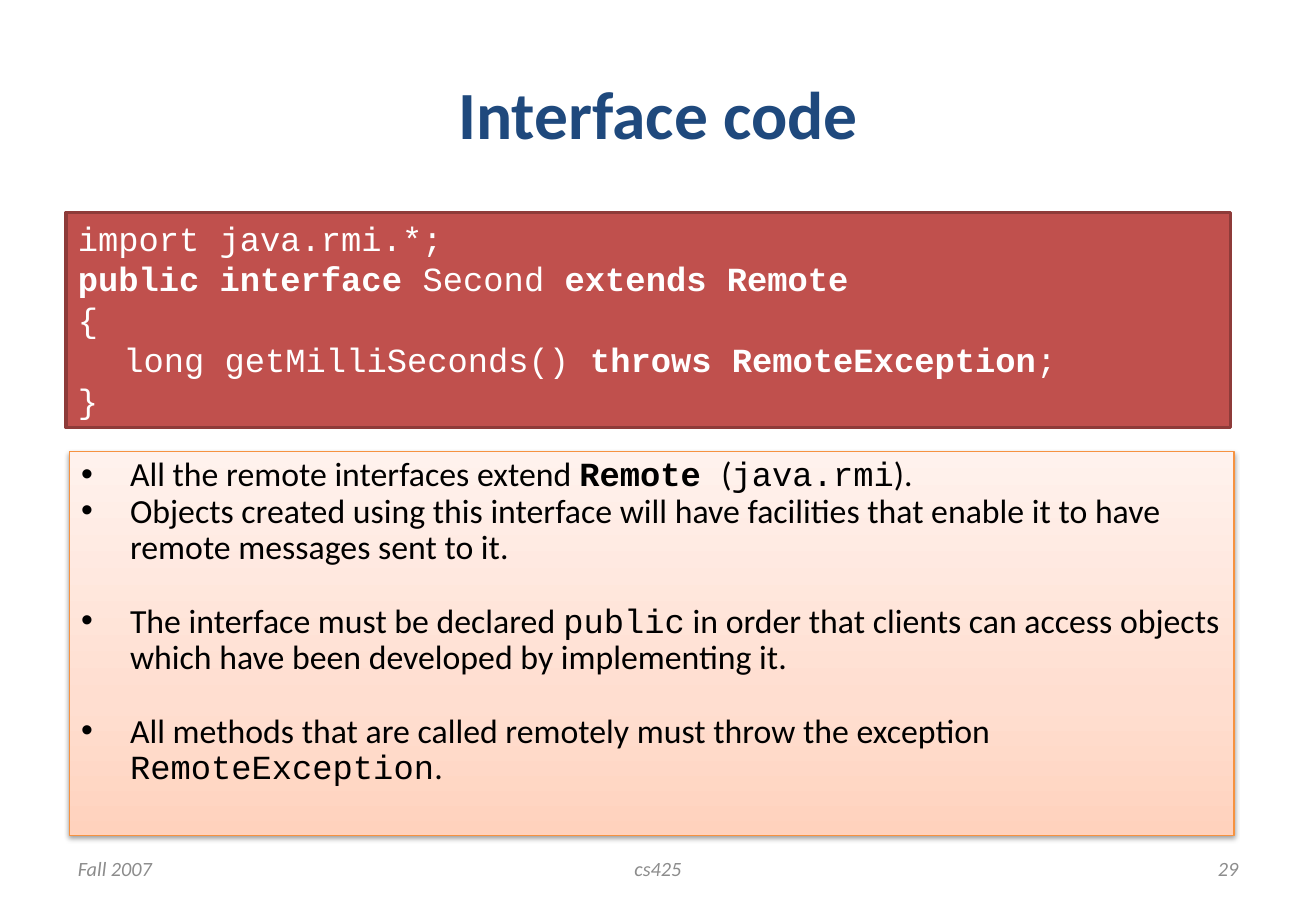
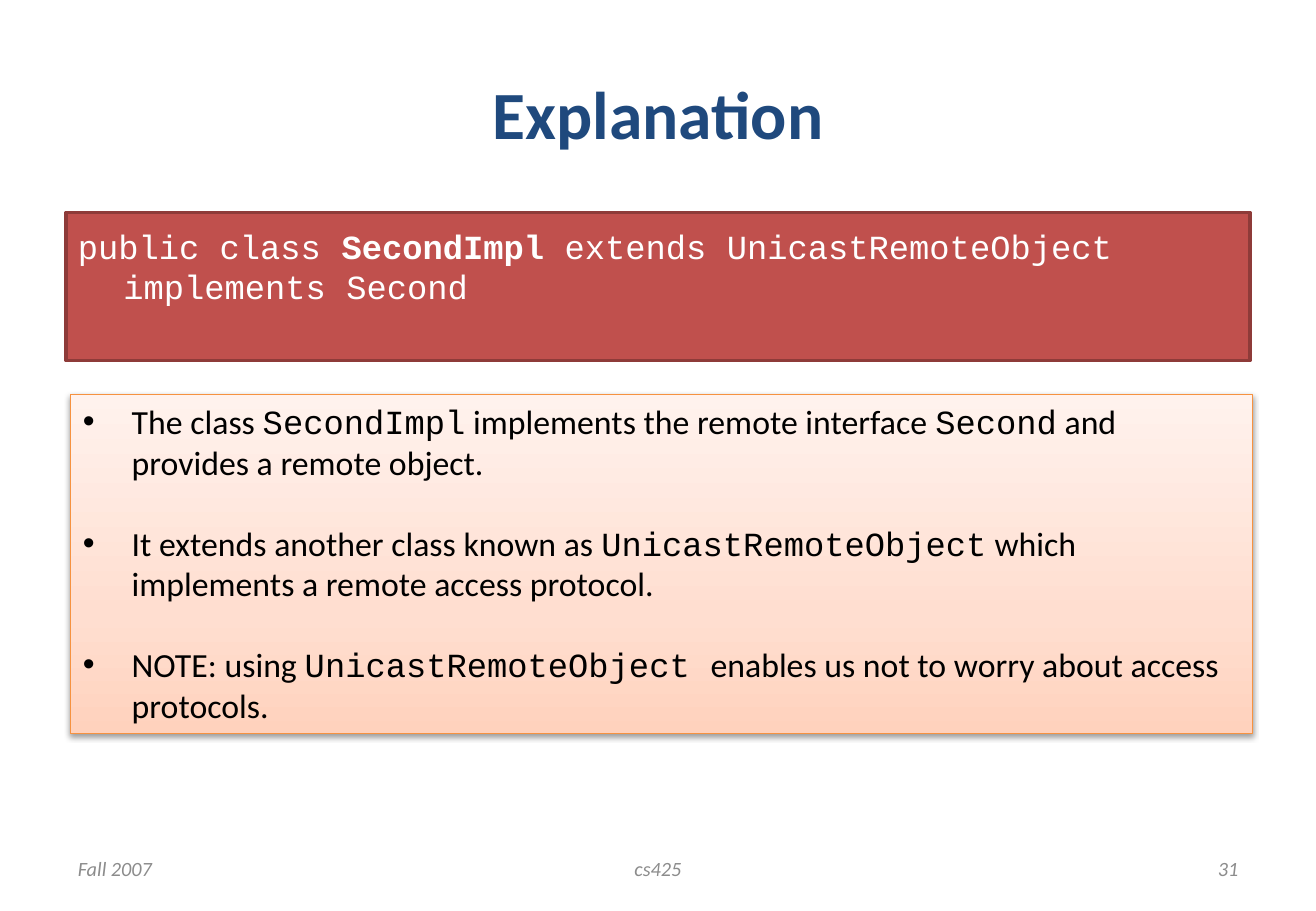
from copy import deepcopy
from dataclasses import dataclass

from lxml import etree
from pptx import Presentation
from pptx.dml.color import RGBColor
from pptx.enum import shapes, text
from pptx.oxml import ns
from pptx.util import Pt

ALIGN = text.PP_ALIGN


@dataclass(frozen=True)
class Theme:
    body: str = "Calibri"
    mono: str = "Courier New"
    title: str = "1F497D"
    footer: str = "8C8C8C"
    code_fill: str = "C0504D"
    code_line: str = "8E3B39"
    code_text: str = "FFFFFF"
    note_line: str = "F69240"
    note_text: str = "000000"
    note_stops: tuple = ((0, "FFD2BD"), (0.35, "FFDED0"), (1, "FFF2ED"))
    title_size: int = 40
    text_size: int = 20
    footer_size: int = 12


def rgb(value):
    return RGBColor.from_string(value)


def child(parent, tag, **attrs):
    return etree.SubElement(parent, ns.qn(tag), attrs)


class Deck:
    def __init__(self, theme):
        self.theme = theme
        self.prs = Presentation()
        self.prs.slide_width, self.prs.slide_height = Pt(780), Pt(540)
        self.s = None

    def slide(self, title, number):
        t = self.theme
        self.s = self.prs.slides.add_slide(self.prs.slide_layouts[6])
        footers = ((39, 182, "Fall 2007", ALIGN.LEFT),
                   (266.5, 247, "cs425", ALIGN.CENTER),
                   (559, 182, str(number), ALIGN.RIGHT))
        for left, width, words, align in footers:
            p = self.label((left, 500.5, width, 28.8), words, align)
            self.font(p, t.body, t.footer_size, t.footer)
            p.font.italic = True
        p = self.label((39, 21.6, 702, 90), title, ALIGN.CENTER)
        self.font(p, t.body, t.title_size, t.title)
        p.font.bold = True

    def label(self, box, words, align):
        tf = self.s.shapes.add_textbox(*map(Pt, box)).text_frame
        tf.word_wrap = True
        tf.vertical_anchor = text.MSO_ANCHOR.MIDDLE
        p = tf.paragraphs[0]
        p.text, p.alignment = words, align
        return p

    def font(self, p, name, size, color):
        p.font.name, p.font.size = name, Pt(size)
        p.font.color.rgb = rgb(color)

    def panel(self, box, line, weight):
        sp = self.s.shapes.add_shape(shapes.MSO_SHAPE.RECTANGLE, *map(Pt, box))
        sp.shadow.inherit = False
        sp.line.color.rgb, sp.line.width = rgb(line), Pt(weight)
        sp.text_frame.word_wrap = True
        sp.text_frame.vertical_anchor = text.MSO_ANCHOR.TOP
        return sp

    def paragraph(self, tf, first, indent, spacing, gap):
        p = tf.paragraphs[0] if first else tf.add_paragraph()
        p.alignment, p.line_spacing = ALIGN.LEFT, spacing
        p.space_before = Pt(0 if first else gap)
        pPr = p._p.get_or_add_pPr()
        pPr.set("marL", str(Pt(indent)))
        pPr.set("indent", str(Pt(-indent)))
        return p

    def code(self, box, lines, spacing=1.0):
        t = self.theme
        sp = self.panel(box, t.code_line, 2)
        sp.fill.solid()
        sp.fill.fore_color.rgb = rgb(t.code_fill)
        tf = sp.text_frame
        tf.margin_top = Pt(7.6)
        for i, line in enumerate(lines):
            p = self.paragraph(tf, i == 0, 27, spacing, 4.8)
            self.font(p, t.mono, t.text_size, t.code_text)
            for words, style in line:
                r = p.add_run()
                r.text = words
                if "b" in style:
                    r.font.bold = True

    def notes(self, box, items, spacing=1.0):
        t = self.theme
        sp = self.panel(box, t.note_line, 0.75)
        self.gradient(sp)
        self.shadow(sp)
        for i, (gap, line) in enumerate(items):
            p = self.paragraph(sp.text_frame, i == 0, 29, spacing, gap)
            pPr = p._p.get_or_add_pPr()
            child(pPr, "a:buFont", typeface="Arial")
            child(pPr, "a:buChar", char="•")
            p.font.size = Pt(t.text_size)
            p.font.color.rgb = rgb(t.note_text)
            for words, style in line:
                r = p.add_run()
                r.text = words
                r.font.name = t.mono if "m" in style else t.body
                if "b" in style:
                    r.font.bold = True

    def gradient(self, sp):
        sp.fill.gradient()
        sp.fill.gradient_angle = 90
        stops = sp._element.spPr.find(ns.qn("a:gradFill")).find(ns.qn("a:gsLst"))
        stops.append(deepcopy(stops[0]))
        for stop, (position, color) in zip(sp.fill.gradient_stops, self.theme.note_stops):
            stop.position, stop.color.rgb = position, rgb(color)

    def shadow(self, sp):
        effects = sp._element.spPr.find(ns.qn("a:effectLst"))
        outer = child(effects, "a:outerShdw", blurRad=str(Pt(3.1)), dist=str(Pt(1.6)),
                      dir="5400000", rotWithShape="0")
        child(child(outer, "a:srgbClr", val="000000"), "a:alpha", val="38000")


def main():
    deck = Deck(Theme())

    deck.slide("Interface code", 29)
    deck.code((39, 126, 690.5, 127.5), [
        [("import java.rmi.*;", "")],
        [("public interface ", "b"), ("Second ", ""), ("extends Remote", "b")],
        [("{", "")],
        [("\tlong getMilliSeconds() ", ""), ("throws RemoteException", "b"), (";", "")],
        [("}", "")],
    ], spacing=0.8)
    deck.notes((41, 267.8, 690.5, 227.5), [
        (0, [("All the remote interfaces extend ", ""), ("Remote ", "mb"), ("(", ""),
             ("java.rmi", "m"), (").", "")]),
        (0, [("Objects created using this interface will have facilities that enable it "
              "to have remote messages sent to it.", "")]),
        (22, [("The interface must be declared ", ""), ("public", "m"),
              (" in order that clients can access objects which have been developed by "
               "implementing it.", "")]),
        (22, [("All methods that are called remotely must throw the exception ", ""),
              ("RemoteException", "m"), (".", "")]),
    ], spacing=0.9)

    deck.slide("Explanation", 31)
    deck.code((39, 126, 702, 87.8), [
        [("public class ", ""), ("SecondImpl", "b"),
         (" extends UnicastRemoteObject implements Second", "")],
    ])
    deck.notes((42, 234, 700.5, 201), [
        (0, [("The class ", ""), ("SecondImpl", "m"),
             (" implements the remote interface ", ""), ("Second", "m"),
             (" and provides a remote object.", "")]),
        (24, [("It extends another class known as ", ""), ("UnicastRemoteObject", "m"),
              (" which implements a remote access protocol.", "")]),
        (24, [("NOTE: using ", ""), ("UnicastRemoteObject ", "m"),
              ("enables us not to worry about access protocols.", "")]),
    ])

    deck.prs.save("out.pptx")


if __name__ == "__main__":
    main()
